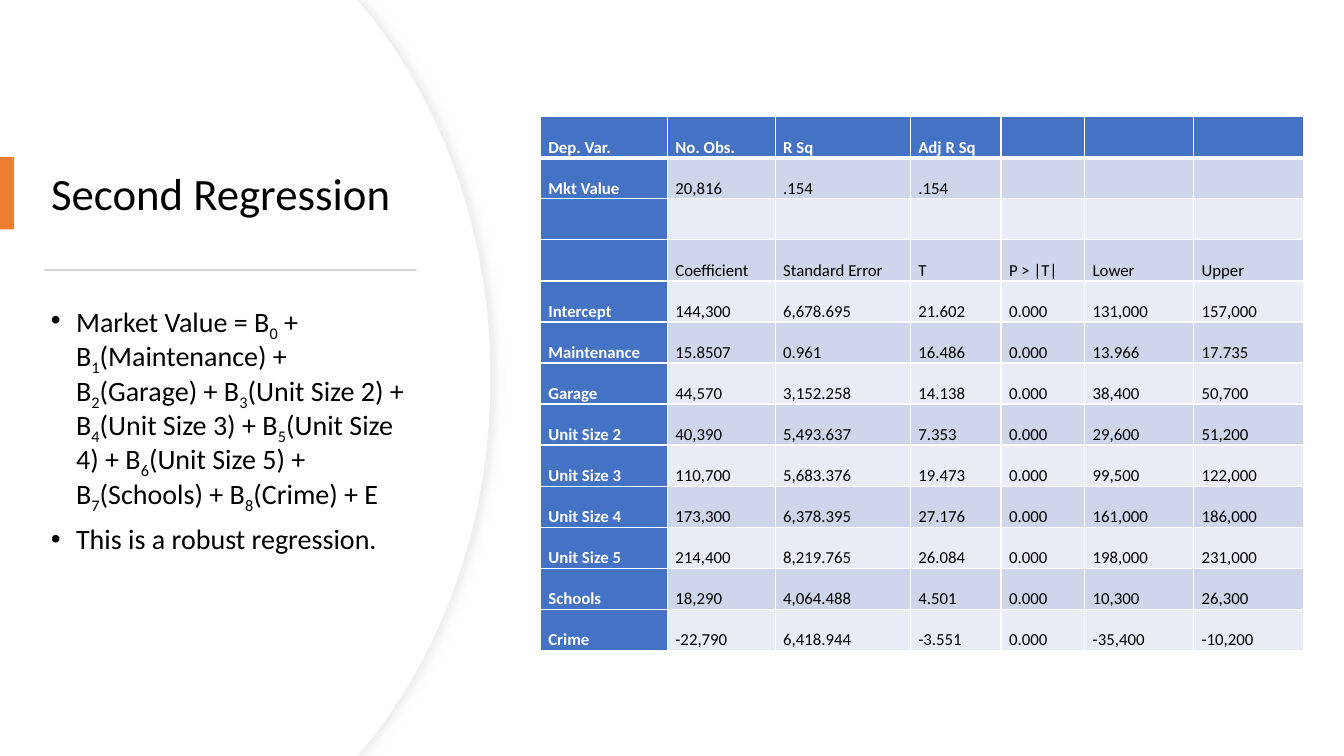
from lxml.etree import SubElement
from pptx import Presentation
from pptx.dml.color import RGBColor
from pptx.enum.shapes import MSO_SHAPE
from pptx.enum.text import MSO_ANCHOR, PP_ALIGN
from pptx.oxml.ns import qn
from pptx.util import Emu, Inches, Pt

WHITE = RGBColor(0xFF, 0xFF, 0xFF)
BLACK = RGBColor(0, 0, 0)
EDGE = RGBColor(0xEF, 0xEF, 0xEF)
SHADE = RGBColor(0xD9, 0xD9, 0xD9)
ORANGE = RGBColor(0xED, 0x7D, 0x31)
GREY = RGBColor(0xD5, 0xD5, 0xD5)
BLUE = RGBColor(0x44, 0x72, 0xC4)
BANDS = [RGBColor(0xE9, 0xEB, 0xF5), RGBColor(0xCF, 0xD5, 0xEA)]

deck = Presentation()
deck.slide_width = Inches(13.33)
deck.slide_height = Inches(7.5)
WIDE, HIGH = deck.slide_width, deck.slide_height
slide = deck.slides.add_slide(deck.slide_layouts[5])
shapes = slide.shapes


def place(left, top, width, height):
    return [Emu(round(share * side / 100)) for share, side in
            zip((left, top, width, height), (WIDE, HIGH, WIDE, HIGH))]


def write(para, text, size, color=BLACK, bold=False):
    run = para.add_run()
    run.text = text
    run.font.name = "Calibri"
    run.font.size = Pt(size)
    run.font.bold = bold
    run.font.color.rgb = color
    return run


KNOTS = [(3.55, 0), (3.62, 0.08), (4.87, 3.75), (3.62, 7.42), (3.55, 7.5), (0, 7.5)]
BENDS = {2: [(4.39, 1.02), (4.87, 2.32)], 3: [(4.87, 5.18), (4.39, 6.48)]}
for shift in (0, 0.01):
    pen = shapes.build_freeform(0, 0)
    pen.add_line_segments([(Inches(max(x - shift, 0)), Inches(y)) for x, y in KNOTS])
    panel = pen.convert_to_shape()
    lines = list(panel.element.iter(qn("a:lnTo")))
    for index, bend in BENDS.items():
        curve = lines[index]
        curve.tag = qn("a:cubicBezTo")
        for rank, (x, y) in enumerate(bend):
            point = SubElement(curve, qn("a:pt"), x=str(Inches(x - shift)), y=str(Inches(y)))
            curve.insert(rank, point)
    panel.fill.solid()
    panel.fill.fore_color.rgb = WHITE
    panel.shadow.inherit = False
    if shift:
        panel.line.fill.background()
    else:
        panel.line.color.rgb = EDGE
        panel.line.width = Pt(0.75)
        glow = SubElement(panel.element.spPr.find(qn("a:effectLst")), qn("a:outerShdw"),
                          blurRad=str(Pt(7)), dist=str(Pt(3)), dir="0",
                          algn="l", rotWithShape="0")
        tint = SubElement(glow, qn("a:srgbClr"), val=str(SHADE))
        SubElement(tint, qn("a:alpha"), val="50000")

title = shapes.title
title.left, title.top, title.width, title.height = place(3.05, 16.93, 28.2, 18)
shapes.element.append(title.element)
title.text_frame.vertical_anchor = MSO_ANCHOR.MIDDLE
head = title.text_frame.paragraphs[0]
head.alignment = PP_ALIGN.LEFT
head.line_spacing = 0.9
write(head, "Second Regression", 32)

for spot, color in [((0, 20.8, 1.05, 9.55), ORANGE), ((3.26, 35.6, 27.75, 0.27), GREY)]:
    bar = shapes.add_shape(MSO_SHAPE.RECTANGLE, *place(*spot))
    bar.fill.solid()
    bar.fill.fore_color.rgb = color
    bar.line.fill.background()
    bar.shadow.inherit = False

TERMS = ["Maintenance", "Garage", "Unit Size 2", "Unit Size 3",
         "Unit Size 4", "Unit Size 5", "Schools", "Crime"]
model = ["Market Value = B", "0", " + B"]
for rank, term in enumerate(TERMS, 1):
    model += [str(rank), f"({term}) + " + ("E" if rank == len(TERMS) else "B")]

body = shapes.add_textbox(*place(3.05, 39.65, 28.2, 46.8)).text_frame
body.word_wrap = True
for index, runs in enumerate([model, ["This is a robust regression."]]):
    para = body.add_paragraph() if index else body.paragraphs[0]
    para.line_spacing = 0.9
    para.space_before = Pt(10)
    props = para._p.get_or_add_pPr()
    props.set("marL", str(Inches(0.25)))
    props.set("indent", str(Inches(-0.25)))
    SubElement(props, qn("a:buFont"), typeface="Arial")
    SubElement(props, qn("a:buChar"), char="•")
    for text in runs:
        run = write(para, text, 20)
        if text.isdigit():
            run.font._element.set("baseline", "-25000")

ROWS = [
    ["Dep. Var.", "No. Obs.", "R Sq", "Adj R Sq", "", "", ""],
    ["Mkt Value", "20,816", ".154", ".154", "", "", ""],
    [""] * 7,
    ["", "Coefficient", "Standard Error", "T", "P > |T|", "Lower", "Upper"],
    ["Intercept", "144,300", "6,678.695", "21.602", "0.000", "131,000", "157,000"],
    ["Maintenance", "15.8507", "0.961", "16.486", "0.000", "13.966", "17.735"],
    ["Garage", "44,570", "3,152.258", "14.138", "0.000", "38,400", "50,700"],
    ["Unit Size 2", "40,390", "5,493.637", "7.353", "0.000", "29,600", "51,200"],
    ["Unit Size 3", "110,700", "5,683.376", "19.473", "0.000", "99,500", "122,000"],
    ["Unit Size 4", "173,300", "6,378.395", "27.176", "0.000", "161,000", "186,000"],
    ["Unit Size 5", "214,400", "8,219.765", "26.084", "0.000", "198,000", "231,000"],
    ["Schools", "18,290", "4,064.488", "4.501", "0.000", "10,300", "26,300"],
    ["Crime", "-22,790", "6,418.944", "-3.551", "0.000", "-35,400", "-10,200"],
]
COLS = [1.26, 1.07, 1.34, 0.9, 0.83, 1.08, 1.09]

table = shapes.add_table(len(ROWS), len(COLS), *place(40.2, 15.45, 56.78, 70.6)).table
for col, width in zip(table.columns, COLS):
    col.width = Inches(width)
for y, row in enumerate(ROWS):
    for x, text in enumerate(row):
        cell = table.cell(y, x)
        cell.margin_left = cell.margin_right = Inches(0.08)
        cell.margin_top = cell.margin_bottom = 0
        props = cell._tc.get_or_add_tcPr()
        for side in "LRTB":
            thick = (y, side) in [(0, "B"), (1, "T")]
            edge = SubElement(props, qn("a:ln" + side), w=str(Pt(3 if thick else 1)))
            paint = SubElement(edge, qn("a:solidFill"))
            SubElement(paint, qn("a:srgbClr"), val=str(WHITE))
        label = y == 0 or x == 0
        cell.fill.solid()
        cell.fill.fore_color.rgb = BLUE if label else BANDS[y % 2]
        if text:
            para = cell.text_frame.paragraphs[0]
            para.line_spacing = 2.0
            write(para, text, 12, WHITE if label else BLACK, label)

deck.save("out.pptx")
